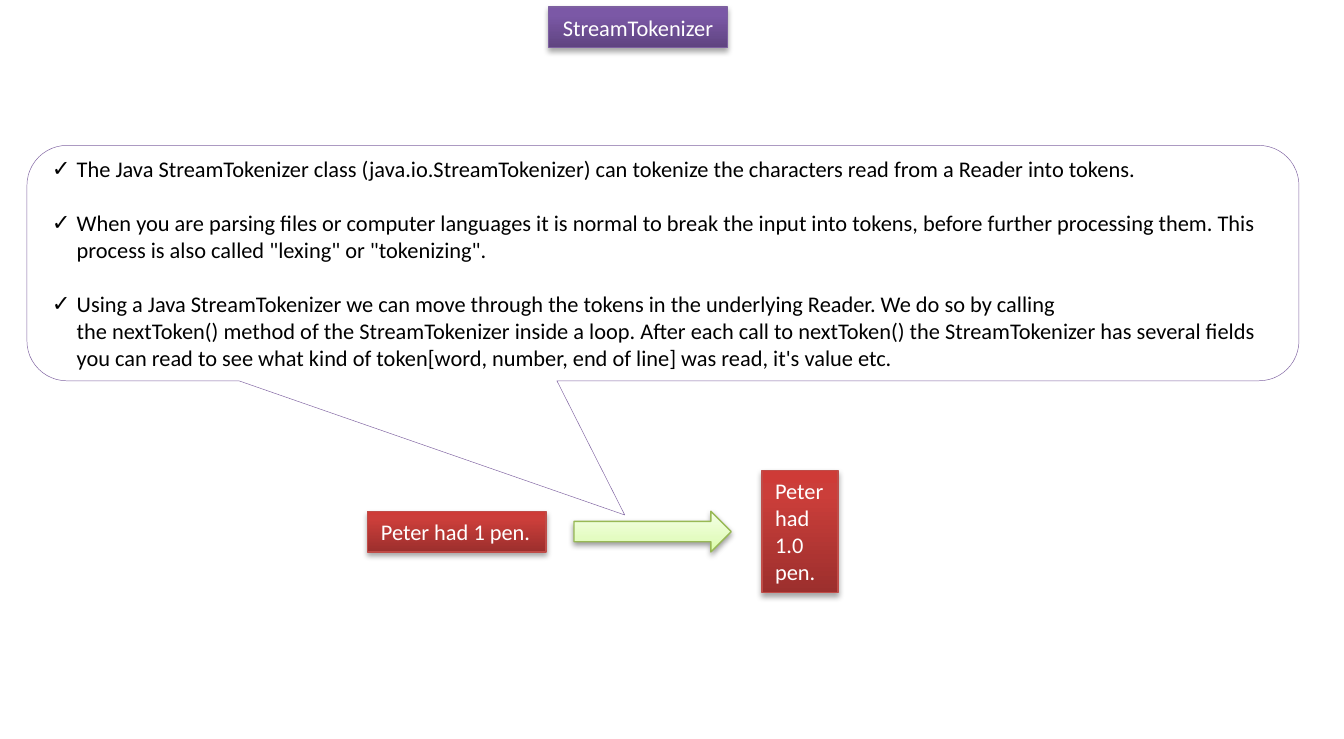
from copy import deepcopy

from lxml.etree import SubElement
from pptx import Presentation
from pptx.dml.color import RGBColor
from pptx.enum.shapes import MSO_SHAPE
from pptx.enum.text import MSO_ANCHOR, PP_ALIGN
from pptx.oxml.ns import qn
from pptx.util import Cm, Pt

WHITE = RGBColor(0xFF, 0xFF, 0xFF)
BLACK = RGBColor(0x00, 0x00, 0x00)
CALLOUT_LINE = RGBColor(0x80, 0x64, 0xA2)

# Gradient stops run from the bottom edge to the top edge.
PURPLE = {
    "stops": [(0, RGBColor(0x5F, 0x44, 0x80)), (0.8, RGBColor(0x7B, 0x58, 0xA6)),
              (1, RGBColor(0x7C, 0x57, 0xA8))],
    "line": RGBColor(0x7D, 0x60, 0xA0), "shadow": (35, 1.8),
}
RED = {
    "stops": [(0, RGBColor(0x9C, 0x2F, 0x2D)), (0.8, RGBColor(0xCB, 0x3E, 0x3A)),
              (1, RGBColor(0xCE, 0x3B, 0x37))],
    "line": RGBColor(0xBF, 0x4C, 0x48), "shadow": (35, 1.8),
}
GREEN = {
    "stops": [(0, RGBColor(0xDA, 0xFD, 0xA7)), (0.35, RGBColor(0xE4, 0xFC, 0xC2)),
              (1, RGBColor(0xF5, 0xFF, 0xE7))],
    "line": RGBColor(0x98, 0xB9, 0x55), "shadow": (38, 1.6),
}

TITLE = ["StreamTokenizer"]
SENTENCE = ["Peter had 1 pen."]
TOKENS = ["Peter", "had", "1.0", "pen."]
# A tilde stands for a space that does not break the line.
TIE, HARD_SPACE = "~", chr(160)
NOTES = [
    "The Java~StreamTokenizer~class (java.io.StreamTokenizer) can tokenize the "
    "characters read from a Reader~into tokens.",
    "When you are parsing files or computer languages it is normal to break the input "
    "into tokens, before further processing them. This process is also called "
    "\"lexing\" or \"tokenizing\".",
    "Using a Java~StreamTokenizer~we can move through the tokens in the underlying~"
    "Reader. We do so by calling the~nextToken()~method of the~StreamTokenizer~inside "
    "a loop. After each call to~nextToken()~the StreamTokenizer~has several fields you "
    "can read to see what kind of token[word, number, end of line] was read, it's "
    "value etc.",
]

TITLE_MIDDLE, FLOW_MIDDLE = 0.52, 10.05
# shape, left, vertical middle, width, height, style, lines, alignment
PARTS = [
    (MSO_SHAPE.RECTANGLE, 10.37, TITLE_MIDDLE, 3.38, 0.77, PURPLE, TITLE, PP_ALIGN.CENTER),
    (MSO_SHAPE.RECTANGLE, 6.95, FLOW_MIDDLE, 3.37, 0.77, RED, SENTENCE, PP_ALIGN.LEFT),
    (MSO_SHAPE.RIGHT_ARROW, 10.85, FLOW_MIDDLE, 2.97, 0.77, GREEN, [], PP_ALIGN.LEFT),
    (MSO_SHAPE.RECTANGLE, 14.4, FLOW_MIDDLE, 1.44, 2.31, RED, TOKENS, PP_ALIGN.LEFT),
]
CALLOUT_AT = (0.51, 2.75, 24.04, 4.45)
CALLOUT_ADJUSTMENTS = (-0.03, 1.07, 0.17)
NOTE_INDENT = Cm(0.47)
NOTE_GAP = Pt(14.6)


def fill_gradient(shape, stops):
    shape.fill.gradient()
    shape.fill.gradient_angle = 90
    stop_list = shape._element.spPr.find(qn("a:gradFill")).find(qn("a:gsLst"))
    stop_list.append(deepcopy(stop_list[0]))
    for stop, (position, color) in zip(shape.fill.gradient_stops, stops):
        stop.position = position
        stop.color.rgb = color


def drop_shadow(shape, opacity, distance):
    effects = shape._element.spPr.find(qn("a:effectLst"))
    shadow = SubElement(effects, qn("a:outerShdw"), blurRad=str(Pt(3.1)),
                        dist=str(Pt(distance)), dir="5400000", rotWithShape="0")
    color = SubElement(shadow, qn("a:srgbClr"), val="000000")
    SubElement(color, qn("a:alpha"), val=str(opacity * 1000))


def add_bullet(paragraph):
    properties = paragraph._p.get_or_add_pPr()
    properties.set("marL", str(NOTE_INDENT))
    properties.set("indent", str(-NOTE_INDENT))
    SubElement(properties, qn("a:buFont"), typeface="Arial")
    SubElement(properties, qn("a:buChar"), char="✓")


def write_lines(frame, lines, color, alignment, bulleted=False):
    font_format = {"name": "Calibri", "size": Pt(12)}
    for index, line in enumerate(lines):
        paragraph = frame.add_paragraph() if index else frame.paragraphs[0]
        paragraph.alignment = alignment
        if bulleted:
            if index:
                paragraph.space_before = NOTE_GAP
            add_bullet(paragraph)
        run = paragraph.add_run()
        run.text = line.replace(TIE, HARD_SPACE)
        for attribute, value in font_format.items():
            setattr(run.font, attribute, value)
        run.font.color.rgb = color


def add_part(slide, kind, left, middle, width, height, style, lines, alignment):
    part = slide.shapes.add_shape(kind, Cm(left), Cm(middle - height / 2),
                                  Cm(width), Cm(height))
    fill_gradient(part, style["stops"])
    part.line.color.rgb = style["line"]
    part.line.width = Pt(0.75)
    part.shadow.inherit = False
    drop_shadow(part, *style["shadow"])
    part.text_frame.word_wrap = False
    part.text_frame.vertical_anchor = MSO_ANCHOR.TOP
    write_lines(part.text_frame, lines, WHITE, alignment)


def add_callout(slide):
    callout = slide.shapes.add_shape(MSO_SHAPE.ROUNDED_RECTANGULAR_CALLOUT,
                                     *map(Cm, CALLOUT_AT))
    for index, value in enumerate(CALLOUT_ADJUSTMENTS):
        callout.adjustments[index] = value
    callout.fill.solid()
    callout.fill.fore_color.rgb = WHITE
    callout.line.color.rgb = CALLOUT_LINE
    callout.line.width = Pt(0.25)
    callout.shadow.inherit = False
    callout.text_frame.word_wrap = True
    callout.text_frame.vertical_anchor = MSO_ANCHOR.MIDDLE
    write_lines(callout.text_frame, NOTES, BLACK, PP_ALIGN.LEFT, bulleted=True)


def main():
    presentation = Presentation()
    presentation.slide_width, presentation.slide_height = Cm(25.4), Cm(13.97)
    slide = presentation.slides.add_slide(presentation.slide_layouts[6])
    for part in PARTS:
        add_part(slide, *part)
    add_callout(slide)
    presentation.save("out.pptx")


if __name__ == "__main__":
    main()
